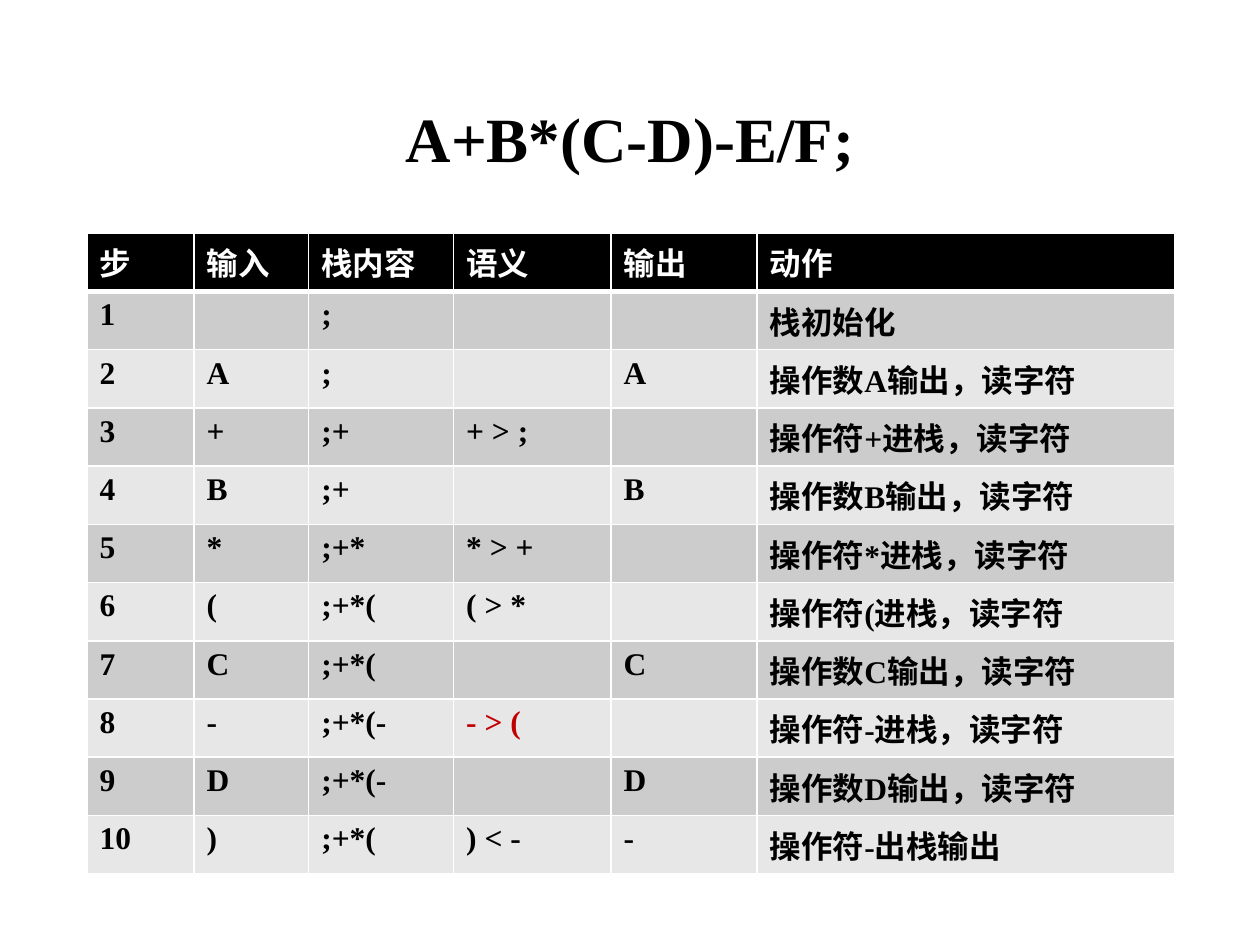
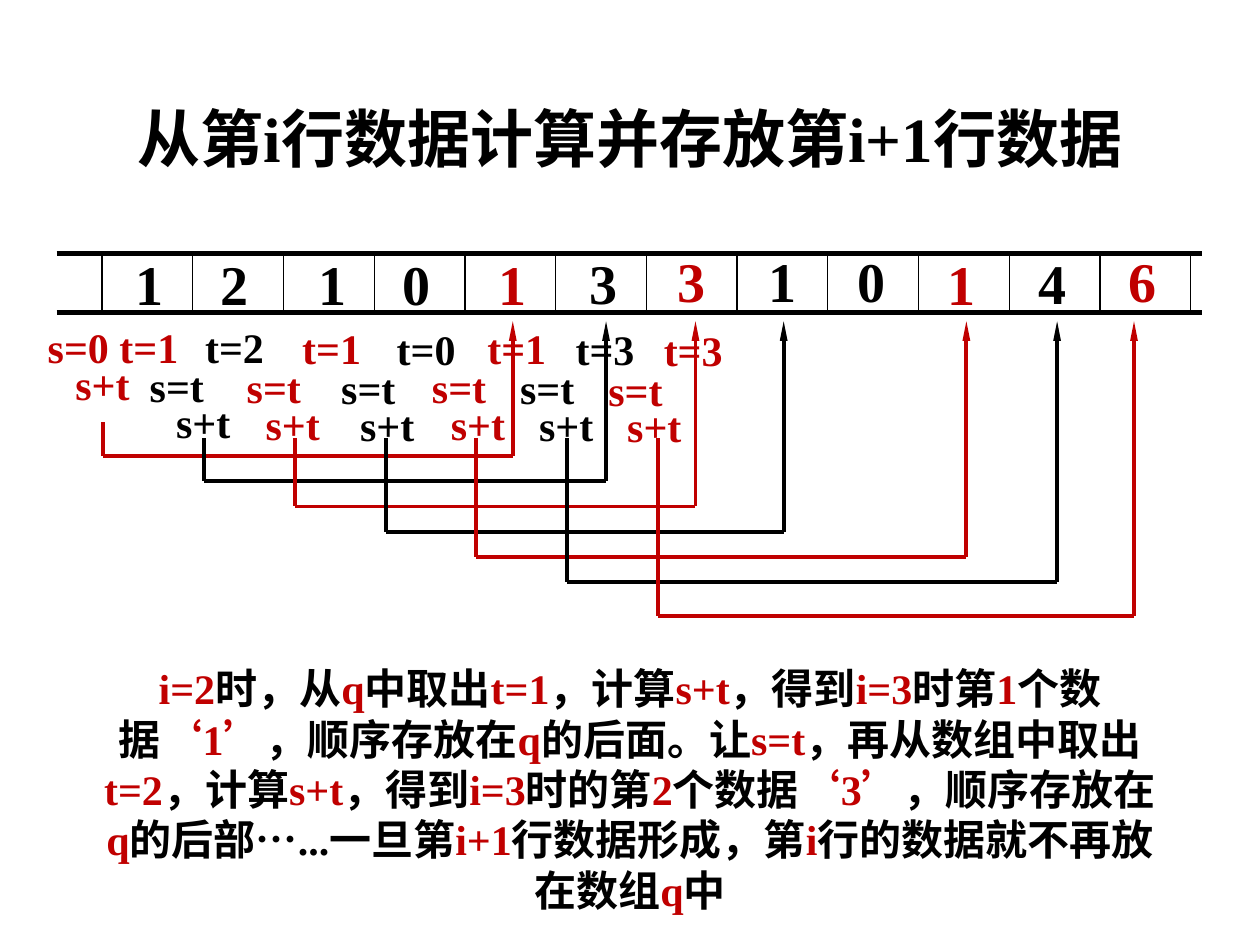
from dataclasses import dataclass

from lxml import etree
from pptx import Presentation
from pptx.dml.color import RGBColor
from pptx.enum.lang import MSO_LANGUAGE_ID
from pptx.enum.shapes import MSO_CONNECTOR
from pptx.enum.text import MSO_ANCHOR, MSO_AUTO_SIZE, PP_ALIGN
from pptx.oxml.ns import qn
from pptx.util import Inches, Pt

STRAIGHT = MSO_CONNECTOR.STRAIGHT
MIDDLE, TOP = MSO_ANCHOR.MIDDLE, MSO_ANCHOR.TOP
CENTER, LEFT = PP_ALIGN.CENTER, PP_ALIGN.LEFT
NO_AUTOFIT = MSO_AUTO_SIZE.NONE
CHINESE = MSO_LANGUAGE_ID.SIMPLIFIED_CHINESE

COLORS = {
    "black": "000000",
    "white": "FFFFFF",
    "red": "C00000",
    "odd row": "CCCCCC",
    "even row": "E7E7E7",
}
FONT = "Times New Roman"

# The slide is a grid of 100 columns by 75 rows.
SLIDE_WIDTH, SLIDE_HEIGHT = Inches(10), Inches(7.5)
COLUMN, ROW = SLIDE_WIDTH / 100, SLIDE_HEIGHT / 75
MARGIN, CONTENT_WIDTH = 6.9, 86.2

TABLE_COLUMNS = [8.5, 9.1, 11.5, 12.5, 11.6, 33.1]
TABLE_TOP, TABLE_ROW = 18.5, 4.05
HEADER = ["步", "输入", "栈内容", "语义", "输出", "动作"]
PARSE_STEPS = [
    ["", ";", "", "", "栈初始化"],
    ["A", ";", "", "A", "操作数A输出，读字符"],
    ["+", ";+", "+ > ;", "", "操作符+进栈，读字符"],
    ["B", ";+", "", "B", "操作数B输出，读字符"],
    ["*", ";+*", "* > +", "", "操作符*进栈，读字符"],
    ["(", ";+*(", "( > *", "", "操作符(进栈，读字符"],
    ["C", ";+*(", "", "C", "操作数C输出，读字符"],
    ["-", ";+*(-", "- > (", "", "操作符-进栈，读字符"],
    ["D", ";+*(-", "", "D", "操作数D输出，读字符"],
    [")", ";+*(", ") < -", "-", "操作符-出栈输出"],
]
HIGHLIGHTED_CELL = (8, 3)

QUEUE_LEFT, QUEUE_RIGHT, QUEUE_TOP, QUEUE_BOTTOM = 4.5, 95.4, 20.1, 24.8
FIRST_DIVIDER, CELL_WIDTH, DIVIDER_COUNT = 8.1, 7.2, 13
ARROW_TIP = 25.5

# Every second stretch, between bars, is red.
EXPLANATION = (
    "|i=2|时，从|q|中取出|t=1|，计算|s+t|，得到|i=3|时第|1|个数据|‘1’|，顺序存放在|q|"
    "的后面。让|s=t|，再从数组中取出|t=2|，计算|s+t|，得到|i=3|时的第|2|个数据|‘3’|"
    "，顺序存放在|q|的后部…...一旦第|i+1|行数据形成，第|i|行的数据就不再放在数组|q|中"
)


@dataclass(frozen=True)
class Digit:
    text: str
    left: float
    top: float
    color: str = "black"


@dataclass(frozen=True)
class Step:
    """One sum: its labels and the path to the cell that takes the result."""
    next_value: str
    label_left: float
    label_top: float
    sum_left: float
    path_left: float
    path_bottom: float
    path_right: float
    color: str


DIGITS = [
    Digit("1", 9.8, 19.3), Digit("2", 16.5, 19.3), Digit("1", 24.3, 19.3),
    Digit("0", 31, 19.3), Digit("1", 38.6, 19.3, "red"), Digit("3", 45.8, 19.2),
    Digit("3", 52.8, 19.1, "red"), Digit("1", 60, 19.1), Digit("0", 67.1, 19.1),
    Digit("1", 74.2, 19.3, "red"), Digit("4", 81.4, 19.2), Digit("6", 88.6, 19.1, "red"),
]
STEPS = [
    Step("t=2", 15.3, 25, 13, 16.2, 38.2, 48.1, "black"),
    Step("t=1", 23, 25.1, 20.1, 23.4, 40.2, 55.2, "red"),
    Step("t=0", 30.5, 25.2, 27.6, 30.6, 42.2, 62.2, "black"),
    Step("t=1", 37.7, 25.1, 34.8, 37.8, 44.2, 76.7, "red"),
    Step("t=3", 44.7, 25.2, 41.8, 45, 46.2, 83.9, "black"),
    Step("t=3", 51.7, 25.3, 48.8, 52.2, 48.9, 90, "red"),
]


def rgb(color: str) -> RGBColor:
    return RGBColor.from_string(COLORS[color])


def across(columns: float) -> int:
    return round(columns * COLUMN)


def down(rows: float) -> int:
    return round(rows * ROW)


def add_run(paragraph, text: str, size: float, color: str) -> None:
    run = paragraph.add_run()
    run.text = text
    formats = {"name": FONT, "size": Pt(size), "bold": True, "language_id": CHINESE}
    for attribute, value in formats.items():
        setattr(run.font, attribute, value)
    run.font.color.rgb = rgb(color)


def add_text(slide, text: str, left: float, top: float, width: float, height: float,
             size: float, color: str = "black", wrap: bool = False,
             align=LEFT, anchor=TOP, spacing: float = 1.0) -> None:
    """Text box in which every second stretch between bars is red."""
    box = slide.shapes.add_textbox(across(left), down(top), across(width), down(height))
    frame = box.text_frame
    frame_formats = {"word_wrap": wrap, "auto_size": NO_AUTOFIT, "vertical_anchor": anchor}
    for attribute, value in frame_formats.items():
        setattr(frame, attribute, value)
    paragraph = frame.paragraphs[0]
    paragraph.alignment = align
    paragraph.line_spacing = spacing
    for index, stretch in enumerate(text.split("|")):
        if stretch:
            add_run(paragraph, stretch, size, "red" if index % 2 else color)


def add_title(slide, text: str) -> None:
    add_text(slide, text, MARGIN, 4, CONTENT_WIDTH, 14.5, 36,
             wrap=True, align=CENTER, anchor=MIDDLE, spacing=0.9)


def add_line(slide, start: tuple[float, float], end: tuple[float, float],
             weight: float, color: str = "black", arrow: bool = False) -> None:
    connector = slide.shapes.add_connector(
        STRAIGHT, across(start[0]), down(start[1]), across(end[0]), down(end[1]))
    connector.line.color.rgb = rgb(color)
    connector.line.width = Pt(weight)
    if arrow:
        etree.SubElement(connector.line._get_or_add_ln(), qn("a:tailEnd"),
                         type="triangle", w="sm", len="lg")
    etree.SubElement(connector._element.spPr, qn("a:effectLst"))


def add_path(slide, left: float, top: float, bottom: float, right: float, color: str) -> None:
    """Line down, across and up to the queue, ending in an arrowhead."""
    corners = [(left, top), (left, bottom), (right, bottom), (right, ARROW_TIP)]
    for index, (start, end) in enumerate(zip(corners, corners[1:])):
        add_line(slide, start, end, 2.25, color, arrow=index == 2)


def set_borders(cell, bottom_weight: float) -> None:
    properties = cell._tc.get_or_add_tcPr()
    weights = {"a:lnL": 1, "a:lnR": 1, "a:lnT": 1, "a:lnB": bottom_weight}
    for index, (tag, weight) in enumerate(weights.items()):
        border = etree.Element(qn(tag), w=str(Pt(weight)))
        fill = etree.SubElement(border, qn("a:solidFill"))
        etree.SubElement(fill, qn("a:srgbClr"), val=COLORS["white"])
        properties.insert(index, border)


def add_parse_table(slide) -> None:
    rows = [HEADER] + [[str(number), *step] for number, step in enumerate(PARSE_STEPS, 1)]
    table = slide.shapes.add_table(
        len(rows), len(HEADER), across(MARGIN), down(TABLE_TOP),
        across(sum(TABLE_COLUMNS)), down(TABLE_ROW * len(rows))).table
    for column, width in zip(table.columns, TABLE_COLUMNS):
        column.width = across(width)
    for row_index, texts in enumerate(rows):
        is_header = row_index == 0
        band = "black" if is_header else "odd row" if row_index % 2 else "even row"
        for column_index, text in enumerate(texts):
            cell = table.cell(row_index, column_index)
            cell.fill.solid()
            cell.fill.fore_color.rgb = rgb(band)
            set_borders(cell, 3 if is_header else 1)
            color = "white" if is_header else "black"
            if (row_index, column_index) == HIGHLIGHTED_CELL:
                color = "red"
            if text:
                add_run(cell.text_frame.paragraphs[0], text, 18, color)


def add_queue(slide) -> None:
    for edge in (QUEUE_TOP, QUEUE_BOTTOM):
        add_line(slide, (QUEUE_LEFT, edge), (QUEUE_RIGHT, edge), 3)
    for index in range(DIVIDER_COUNT):
        divider = FIRST_DIVIDER + index * CELL_WIDTH
        add_line(slide, (divider, QUEUE_TOP), (divider, QUEUE_BOTTOM), 0.75)
    for digit in DIGITS:
        add_text(slide, digit.text, digit.left, digit.top, 4.3, 6.4, 32, digit.color)


def add_steps(slide) -> None:
    add_path(slide, 8.2, 33.5, 36.2, 40.7, "red")
    add_text(slide, "s=0 t=1", 2.8, 25, 12.5, 5, 24, "red")
    add_text(slide, "s+t", 5, 28, 6.4, 5, 24, "red")
    for step in STEPS:
        add_path(slide, step.path_left, 34.8, step.path_bottom, step.path_right, step.color)
    for step in STEPS:
        labels = [
            (step.next_value, step.label_left, 0),
            ("s=t", step.label_left - 4.4, 3.1),
            ("s+t", step.sum_left, 6),
        ]
        for text, left, drop in labels:
            add_text(slide, text, left, step.label_top + drop, 6.6, 5, 24, step.color)


def main() -> None:
    presentation = Presentation()
    presentation.slide_width, presentation.slide_height = SLIDE_WIDTH, SLIDE_HEIGHT
    blank = presentation.slide_layouts[6]

    parse_slide = presentation.slides.add_slide(blank)
    add_title(parse_slide, "A+B*(C-D)-E/F;")
    add_parse_table(parse_slide)

    queue_slide = presentation.slides.add_slide(blank)
    add_title(queue_slide, "从第i行数据计算并存放第i+1行数据")
    add_queue(queue_slide)
    add_steps(queue_slide)
    add_text(queue_slide, EXPLANATION, MARGIN, 52.1, CONTENT_WIDTH, 17.2, 24,
             wrap=True, align=CENTER)

    presentation.save("out.pptx")


if __name__ == "__main__":
    main()
